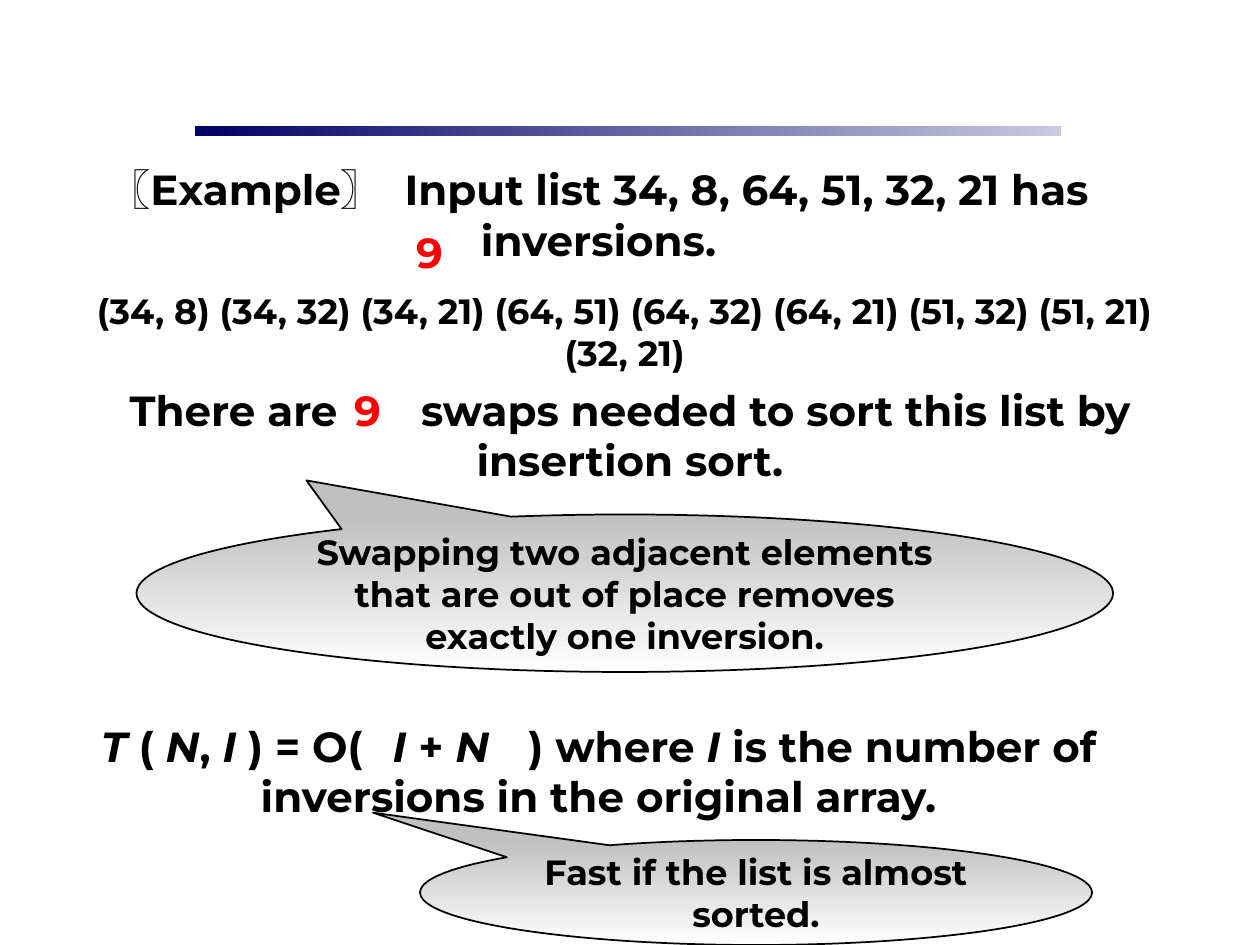
import pptx
import pptx.dml.color
import pptx.enum.shapes
import pptx.enum.text
import pptx.util

Pt = pptx.util.Pt
SHAPES = pptx.enum.shapes.MSO_SHAPE
ANCHORS = pptx.enum.text.MSO_ANCHOR
COLORS = {
    "text": "000000",
    "answer": "FF0000",
    "bar start": "000066",
    "bar end": "C9C9DF",
    "callout top": "C0C0C0",
    "callout bottom": "FFFFFF",
}


def write_text(box, *pieces, size=24, color="text", anchor=ANCHORS.TOP):
    frame = box.text_frame
    frame.word_wrap = True
    frame.auto_size = pptx.enum.text.MSO_AUTO_SIZE.NONE
    frame.vertical_anchor = anchor
    para = frame.paragraphs[0]
    para.alignment = pptx.enum.text.PP_ALIGN.CENTER
    for piece in pieces:
        text, italic, gap = (piece, False, 0) if isinstance(piece, str) else piece
        span = para.add_run()
        span.text = text
        span.font.name = "Montserrat"
        span.font.size = Pt(size)
        span.font.bold = True
        span.font.italic = italic
        span.font.color.rgb = pptx.dml.color.RGBColor.from_string(COLORS[color])
        if gap:
            span.font._element.set("spc", str(gap * 100))


def fill_gradient(shape, start, end, angle):
    shape.shadow.inherit = False
    shape.fill.gradient()
    shape.fill.gradient_angle = angle
    for stop, position, name in zip(shape.fill.gradient_stops, (0, 1), (start, end)):
        stop.position = position
        stop.color.rgb = pptx.dml.color.RGBColor.from_string(COLORS[name])


deck = pptx.Presentation()
deck.slide_width, deck.slide_height = Pt(720), Pt(540)
page = deck.slides.add_slide(deck.slide_layouts[5])

bar = page.shapes.add_shape(SHAPES.RECTANGLE, Pt(111.6), Pt(72), Pt(494.6), Pt(5.8))
fill_gradient(bar, "bar start", "bar end", 0)
bar.line.fill.background()

example = page.shapes.title
example.left, example.top, example.width, example.height = Pt(18), Pt(90), Pt(648), Pt(65)
write_text(example, "〖Example〗", (" ", False, 7), "Input list 34, 8, 64, 51, 32, 21 has inversions.")

statements = [
    ((227.5, 126, 36, 36), ["9"], {"color": "answer"}),
    (
        (48, 162, 618, 55.5),
        ["(34, 8) (34, 32) (34, 21) (64, 51) (64, 32) (64, 21) (51, 32) (51, 21) (32, 21)"],
        {"size": 20},
    ),
    (
        (36, 216, 648, 65),
        ["There are", (" ", False, 41), "swaps needed to sort this list by insertion sort."],
        {},
    ),
    ((192, 216, 36, 36), ["9"], {"color": "answer"}),
    (
        (6, 408, 672, 65),
        [
            ("T", True, 0), " ( ", ("N", True, 0), ", ", ("I ", True, 0), ") = O(",
            (" ", False, 88), ") where ", ("I", True, 0),
            " is the number of inversions in the original array.",
        ],
        {},
    ),
    ((210, 408, 84, 36), [("I ", True, 0), "+ ", ("N", True, 0)], {}),
]
for place, pieces, style in statements:
    box = page.shapes.add_textbox(*map(Pt, place))
    write_text(box, *pieces, **style)

callouts = [
    (
        (78, 294, 558, 90),
        (-0.326, -0.717),
        "Swapping two adjacent elements that are out of place removes exactly one inversion.",
    ),
    ((240, 480, 384, 60), (-0.57, -0.76), "Fast if the list is almost sorted."),
]
for place, tip, text in callouts:
    callout = page.shapes.add_shape(SHAPES.OVAL_CALLOUT, *map(Pt, place))
    callout.adjustments[0], callout.adjustments[1] = tip
    fill_gradient(callout, "callout top", "callout bottom", 270)
    callout.line.width = Pt(1)
    callout.line.color.rgb = pptx.dml.color.RGBColor.from_string(COLORS["text"])
    write_text(callout, text, size=20, anchor=ANCHORS.MIDDLE)

deck.save("out.pptx")
